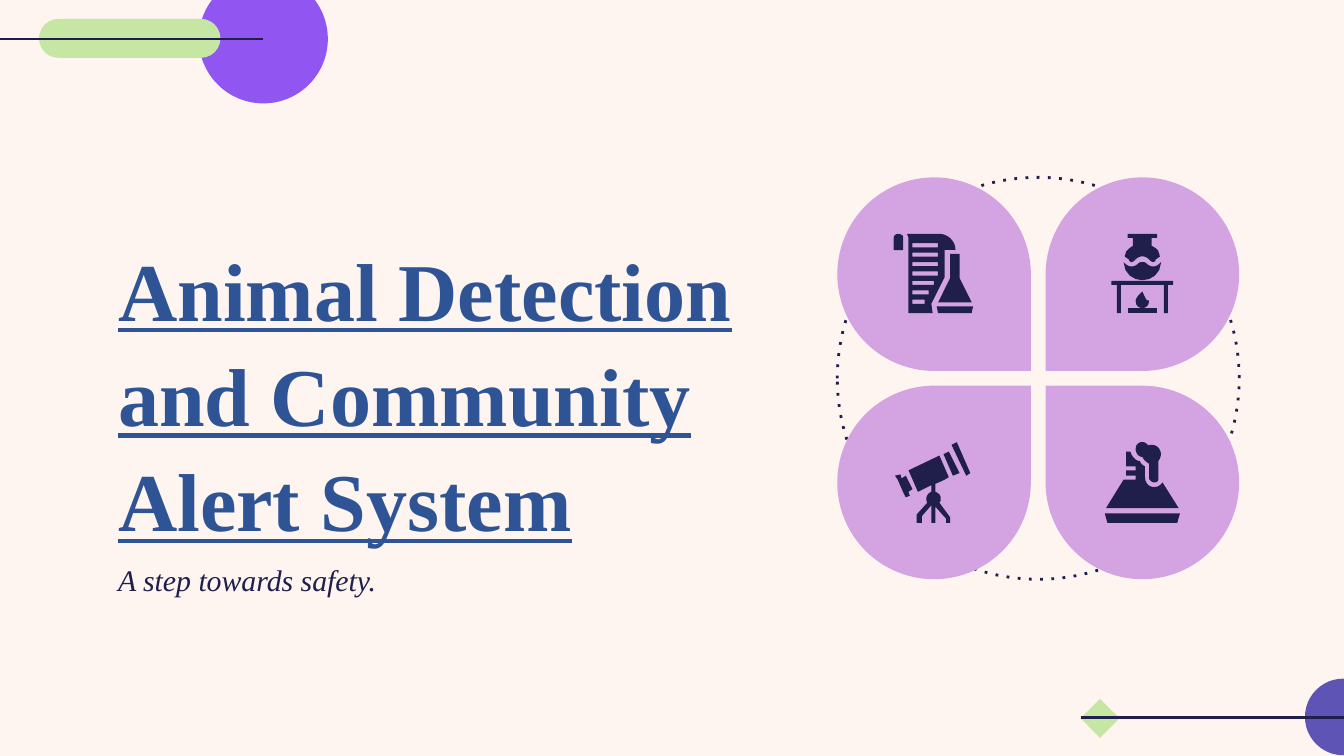
"""Title slide with line ornaments and a four-petal science emblem."""
from lxml.etree import SubElement
from pptx import Presentation
from pptx.dml.color import RGBColor
from pptx.enum.shapes import MSO_CONNECTOR, MSO_SHAPE
from pptx.enum.text import MSO_ANCHOR
from pptx.oxml.ns import qn
from pptx.util import Inches, Pt

COLORS = {
    "paper": "FEF5F0", "ink": "201F4B", "violet": "9156F1", "indigo": "5E54B5",
    "green": "C6E6A3", "petal": "D4A4E2", "title": "2F5496",
}
COLORS = {name: RGBColor.from_string(value) for name, value in COLORS.items()}

prs = Presentation()
prs.slide_width, prs.slide_height = Inches(10), Inches(10 * 9 / 16)
s = prs.slides.add_slide(prs.slide_layouts[6])
s.background.fill.solid()
s.background.fill.fore_color.rgb = COLORS["paper"]


def add_solid(kind, x, y, w, h, color):
    sp = s.shapes.add_shape(kind, Inches(x), Inches(y), Inches(w), Inches(h))
    sp.shadow.inherit = False
    sp.fill.solid()
    sp.fill.fore_color.rgb = COLORS[color]
    sp.line.fill.background()
    return sp


def add_glyph(path):
    """Draw M/L/C contours given in hundredths of an inch."""
    builder = None
    for contour in path.split("M")[1:]:
        pts = []
        for seg in contour.replace("L", "|L").replace("C", "|C").split("|"):
            n = [Inches(int(v) / 100) for v in seg.strip("LC ").split()]
            new = list(zip(n[::2], n[1::2]))
            if seg.startswith("C"):
                curve = [pts[-1]] + new
                new = []
                for t in [i / 8 for i in range(1, 9)]:
                    weights = ((1 - t) ** 3, 3 * t * (1 - t) ** 2, 3 * t * t * (1 - t), t ** 3)
                    new.append(tuple(sum(w * p[axis] for w, p in zip(weights, curve)) for axis in (0, 1)))
            pts += new
        if builder is None:
            builder = s.shapes.build_freeform(*pts[0], scale=1.0)
        else:
            builder.move_to(*pts[0])
        builder.add_line_segments(pts[1:], close=True)
    sp = builder.convert_to_shape()
    sp.shadow.inherit = False
    sp.fill.solid()
    sp.fill.fore_color.rgb = COLORS["ink"]
    sp.line.fill.background()


ornaments = [
    ((MSO_SHAPE.OVAL, 1.48, -0.19, 0.96, 0.96, "violet"),
     (MSO_SHAPE.ROUNDED_RECTANGLE, 0.29, 0.14, 1.35, 0.29, "green"), (0, 1.96, 0.29)),
    ((MSO_SHAPE.OVAL, 9.71, 5.05, 0.57, 0.57, "indigo"),
     (MSO_SHAPE.DIAMOND, 8.04, 5.2, 0.29, 0.29, "green"), (8.04, 10.29, 5.34)),
]
for circle, accent, (x1, x2, y) in ornaments:
    add_solid(*circle)
    sp = add_solid(*accent)
    if accent[0] == MSO_SHAPE.ROUNDED_RECTANGLE:
        sp.adjustments[0] = 0.5
    line = s.shapes.add_connector(MSO_CONNECTOR.STRAIGHT, Inches(x1), Inches(y), Inches(x2), Inches(y))
    line.line.color.rgb = COLORS["ink"]
    line.line.width = Pt(1.5)
    SubElement(line._element.spPr, qn("a:effectLst"))

texts = [
    ("Animal Detection and Community Alert System", 1.33, 2.85, 44, "title", True),
    ("A step towards safety.", 4.08, 0.45, 16, "ink", False),
]
for text, y, h, size, color, is_title in texts:
    tf = s.shapes.add_textbox(Inches(0.78), Inches(y), Inches(5.01), Inches(h)).text_frame
    tf.word_wrap = True
    tf.margin_left = tf.margin_right = tf.margin_top = tf.margin_bottom = Inches(0.1)
    tf.vertical_anchor = MSO_ANCHOR.BOTTOM if is_title else MSO_ANCHOR.TOP
    p = tf.paragraphs[0]
    p.text = text
    if is_title:
        p.line_spacing = 1.07
        p.space_after = Pt(8)
    font = p.runs[0].font
    font.name, font.size = "Times New Roman", Pt(size)
    font.bold = font.underline = is_title
    font.italic = not is_title
    font.color.rgb = COLORS[color]

ring = add_solid(MSO_SHAPE.OVAL, 6.23, 1.32, 2.99, 2.99, "paper")
ring.fill.background()
ring.line.color.rgb = COLORS["ink"]
ring.line.width = Pt(1.5)
SubElement(ring.line._ln, qn("a:prstDash"), val="dot")

stripe_ends = [698, 698, 698, 698, 695, 691, 688]
stripes = "".join(
    f"M679 {y} L{x} {y} {x} {y + 3} 679 {y + 3}"
    for x, y in zip(stripe_ends, range(181, 230, 7))
)
scroll_and_flask = [
    "M668 174 C667 174 665 175 665 177 L665 186 672 186 672 177 C672 176 672 175 671 175 C670 174 669 174 668 174",
    "M703 206 L703 186 711 186 C711 179 705 174 699 174 L675 174 C675 175 676 176 676 177 "
    "L676 233 694 233 693 226" + stripes,
    "M697 228 L698 233 723 233 724 228",
    "M707 189 L707 207 698 225 723 225 714 207 714 189",
]
heated_vessel = [
    "M839 229 L839 233 861 233 861 229",
    "M827 209 L827 212 831 212 831 233 834 233 834 212 866 212 866 233 869 233 869 212 873 212 873 209",
    "M842 195 C843 195 844 194 845 193 C848 190 852 190 855 193 C856 194 857 195 858 195 "
    "C859 195 860 194 860 193 L863 191 C863 189 862 188 862 187 C861 185 859 184 857 183 "
    "L857 177 861 177 861 174 839 174 839 177 843 177 843 183 C841 184 840 185 838 187 "
    "C838 188 837 189 837 191 L840 193 C840 194 841 195 842 195",
    "M864 195 L863 196 C860 199 856 199 853 196 C852 195 851 195 850 195 C849 195 848 195 847 196 "
    "C844 199 840 199 837 196 L836 195 C837 213 863 213 864 195",
    "M855 224 C855 223 854 224 853 223 C852 221 850 217 850 217 C850 217 845 221 845 224 C845 231 855 231 855 224",
]
telescope = [
    "M674 354 L671 356 670 353 666 354 668 357 C669 359 673 369 674 370 L677 369 676 366 679 364",
    "M708 331 L712 329 722 352 719 354",
    "M702 338 L709 354 714 352 706 336",
    "M700 371 C700 369 699 367 696 366 L696 360 C699 359 705 356 706 355 L699 339 676 350 683 366 693 361 "
    "693 366 C690 367 688 371 690 374 L682 383 682 389 686 389 686 384 693 376 693 389 696 389 696 377 "
    "704 386 704 389 707 389 707 385 699 374 C700 373 700 372 700 371",
]
smoking_flask = [
    "M822 382 L824 389 876 389 878 382",
    "M865 359 C861 365 852 363 852 355 L852 347 C850 346 849 345 848 343 C846 343 845 342 844 341 "
    "C842 339 842 338 841 336 L838 336 838 347 845 347 845 350 838 350 838 354 845 354 845 357 836 357 "
    "823 378 877 378",
    "M850 340 C851 342 853 344 855 345 L855 356 C855 357 857 359 859 359 C861 359 862 358 862 356 "
    "L862 343 C866 338 863 331 857 331 C856 331 855 331 855 331 C854 332 854 331 854 331 "
    "C851 327 845 329 845 334 C845 337 847 340 850 340",
]
petals = [
    (0, 0, 90, scroll_and_flask), (1, 0, 180, heated_vessel),
    (0, 1, 0, telescope), (1, 1, 270, smoking_flask),
]
for col, row, angle, icon in petals:
    sp = add_solid(MSO_SHAPE.TEAR, 6.23 + 1.55 * col, 1.32 + 1.55 * row, 1.44, 1.44, "petal")
    sp.adjustments[0] = 1
    sp.rotation = angle
    for path in icon:
        add_glyph(path)

prs.save("out.pptx")
